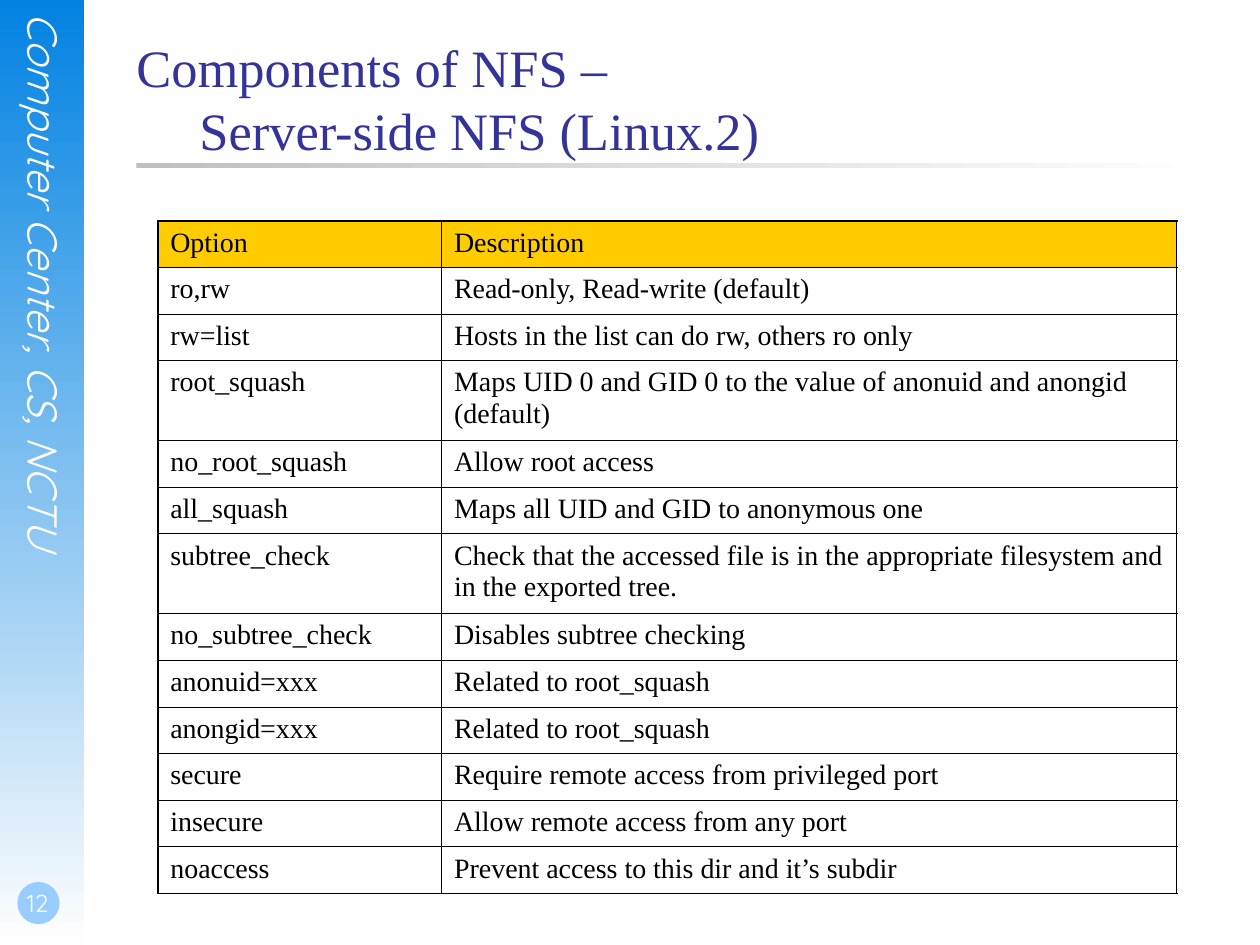
import dataclasses
from typing import Any

import pptx
import pptx.dml.color
import pptx.enum.shapes
import pptx.enum.text
import pptx.oxml.ns
import pptx.util
from lxml import etree

Cm = pptx.util.Cm
Pt = pptx.util.Pt
qn = pptx.oxml.ns.qn
KIND = pptx.enum.shapes.MSO_SHAPE
ALIGN = pptx.enum.text.PP_ALIGN
ANCHOR = pptx.enum.text.MSO_ANCHOR

SERIF = "Times New Roman"
SANS = "Quicksand"
BLACK = "000000"
WHITE = "FFFFFF"
THIN, THICK = 0.45, 1.08


@dataclasses.dataclass
class Box:
    left: float
    top: float
    width: float
    height: float

    def size(self) -> tuple:
        return Cm(self.left), Cm(self.top), Cm(self.width), Cm(self.height)


@dataclasses.dataclass
class Style:
    font: dict[str, Any]
    color: str


@dataclasses.dataclass
class Row:
    option: str
    about: str
    lines: int = 1


TITLE = Style({"name": SERIF, "size": Pt(30)}, "333399")
SIDE = Style({"name": SANS, "size": Pt(24), "italic": True}, WHITE)
PAGE = Style({"name": SANS, "size": Pt(14)}, WHITE)
CELL = Style({"name": SERIF, "size": Pt(16)}, BLACK)

ROWS = [
    Row("Option", "Description"),
    Row("ro,rw", "Read-only, Read-write (default)"),
    Row("rw=list", "Hosts in the list can do rw, others ro only"),
    Row("root_squash", "Maps UID 0 and GID 0 to the value of anonuid and anongid (default)", 2),
    Row("no_root_squash", "Allow root access"),
    Row("all_squash", "Maps all UID and GID to anonymous one"),
    Row("subtree_check", "Check that the accessed file is in the appropriate filesystem "
        "and in the exported tree.", 2),
    Row("no_subtree_check", "Disables subtree checking"),
    Row("anonuid=xxx", "Related to root_squash"),
    Row("anongid=xxx", "Related to root_squash"),
    Row("secure", "Require remote access from privileged port"),
    Row("insecure", "Allow remote access from any port"),
    Row("noaccess", "Prevent access to this dir and it’s subdir"),
]
HEIGHTS = {1: 0.94, 2: 1.61}
WIDTHS = (5.72, 14.82)


def rgb(code: str) -> pptx.dml.color.RGBColor:
    return pptx.dml.color.RGBColor.from_string(code)


def put(item: Any, values: dict[str, Any]) -> None:
    """Set each named attribute of an item."""
    for name, value in values.items():
        setattr(item, name, value)


def write(para: Any, text: str, style: Style) -> None:
    para.text = text
    put(para.font, style.font)
    para.font.color.rgb = rgb(style.color)


def add_text(slide: Any, box: Box, text: str, style: Style, **frame: Any) -> Any:
    area = slide.shapes.add_textbox(*box.size()).text_frame
    put(area, {"word_wrap": True, "margin_left": 0, "margin_top": 0,
               "margin_right": 0, "margin_bottom": 0} | frame)
    para = area.paragraphs[0]
    write(para, text, style)
    return para


def add_form(slide: Any, kind: Any, box: Box, colors: list[str], angle: int = 0) -> None:
    """Draw a lineless shape with a plain fill, or a gradient for two colours."""
    form = slide.shapes.add_shape(kind, *box.size())
    form.shadow.inherit = False
    form.line.fill.background()
    if len(colors) == 1:
        form.fill.solid()
        form.fill.fore_color.rgb = rgb(colors[0])
        return
    form.fill.gradient()
    form.fill.gradient_angle = angle
    for stop, color in zip(form.fill.gradient_stops, colors):
        stop.color.rgb = rgb(color)


def add_edge(cell: Any, side: str, width: float) -> None:
    """Add one cell border; must come before the cell's fill."""
    edge = etree.SubElement(cell._tc.get_or_add_tcPr(), qn(f"a:ln{side}"), w=str(Pt(width)))
    fill = etree.SubElement(edge, qn("a:solidFill"))
    etree.SubElement(fill, qn("a:srgbClr"), val=BLACK)


def add_grid(slide: Any, left: float, top: float) -> None:
    high = sum(HEIGHTS[row.lines] for row in ROWS)
    box = Box(left, top, sum(WIDTHS), high)
    table = slide.shapes.add_table(len(ROWS), len(WIDTHS), *box.size()).table
    put(table, {"first_row": False, "horz_banding": False})
    for col, width in zip(table.columns, WIDTHS):
        col.width = Cm(width)
    last = len(ROWS) - 1
    for r, row in enumerate(ROWS):
        table.rows[r].height = Cm(HEIGHTS[row.lines])
        for c, text in enumerate((row.option, row.about)):
            cell = table.cell(r, c)
            outer = {"L": c == 0, "R": c == 1, "T": r == 0, "B": r == last}
            for side, rim in outer.items():
                add_edge(cell, side, THICK if rim else THIN)
            if r == 0:
                cell.fill.solid()
                cell.fill.fore_color.rgb = rgb("FFCC00")
            else:
                cell.fill.background()
            write(cell.text_frame.paragraphs[0], text, CELL)


def main() -> None:
    deck = pptx.Presentation()
    put(deck, {"slide_width": Cm(25.4), "slide_height": Cm(19.05)})
    slide = deck.slides.add_slide(deck.slide_layouts[6])

    add_form(slide, KIND.RECTANGLE, Box(0, 0, 1.7, 19.05), ["0282E2", "FEFEFE"], 270)
    side = add_text(slide, Box(0.38, 0.25, 1.02, 12.98), "Computer Center, CS, NCTU", SIDE)
    side.alignment = ALIGN.CENTER
    side._p.getparent().find(qn("a:bodyPr")).set("vert", "eaVert")

    add_form(slide, KIND.OVAL, Box(0.35, 17.78, 0.85, 0.85), ["99CCFF"])
    page = add_text(slide, Box(0, 17.35, 1.47, 1.27), "12", PAGE, margin_left=Cm(0.05),
                    margin_bottom=Cm(0.13), vertical_anchor=ANCHOR.BOTTOM)
    page.alignment = ALIGN.CENTER

    add_form(slide, KIND.RECTANGLE, Box(2.75, 3.28, 21.59, 0.1), ["C0C0C0", "FEFEFE"])
    add_text(slide, Box(2.75, 0.71, 21.59, 3.18),
             "Components of NFS –\n\tServer-side NFS (Linux.2)", TITLE)
    add_grid(slide, 3.18, 4.45)
    deck.save("out.pptx")


if __name__ == "__main__":
    main()
